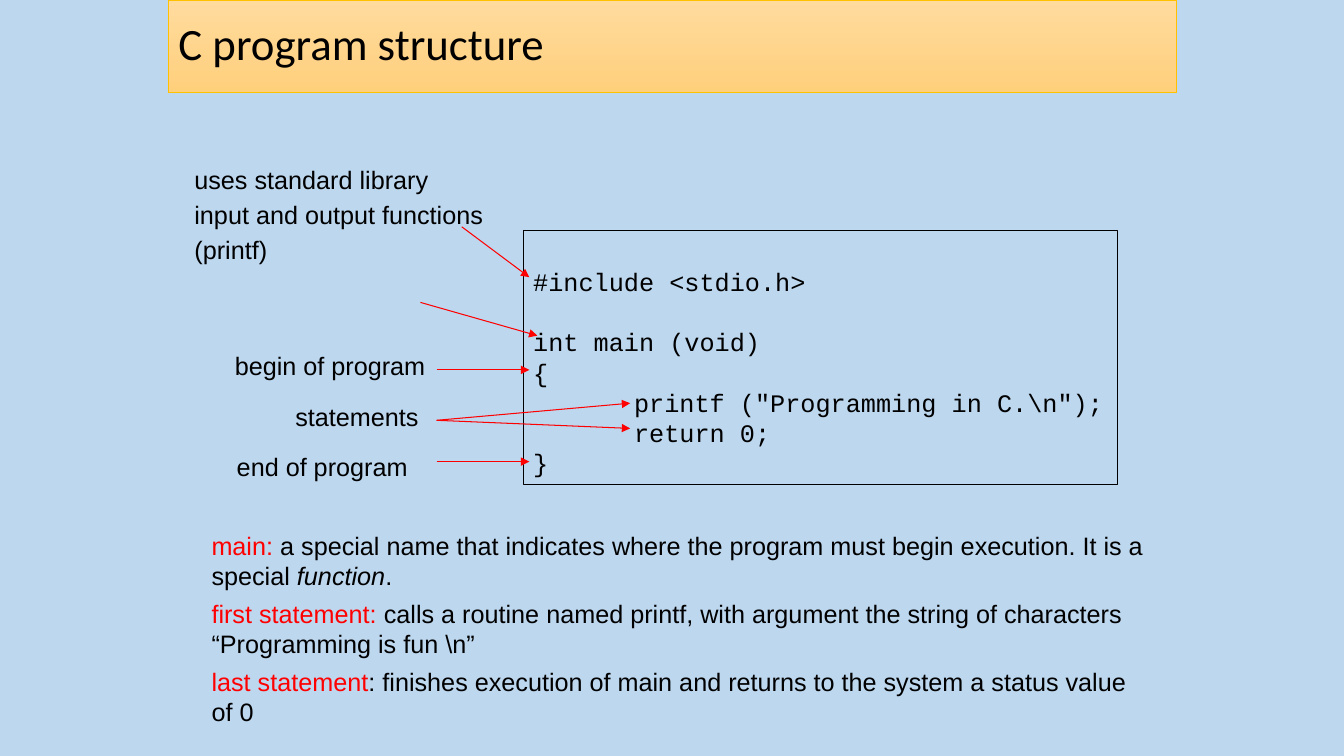
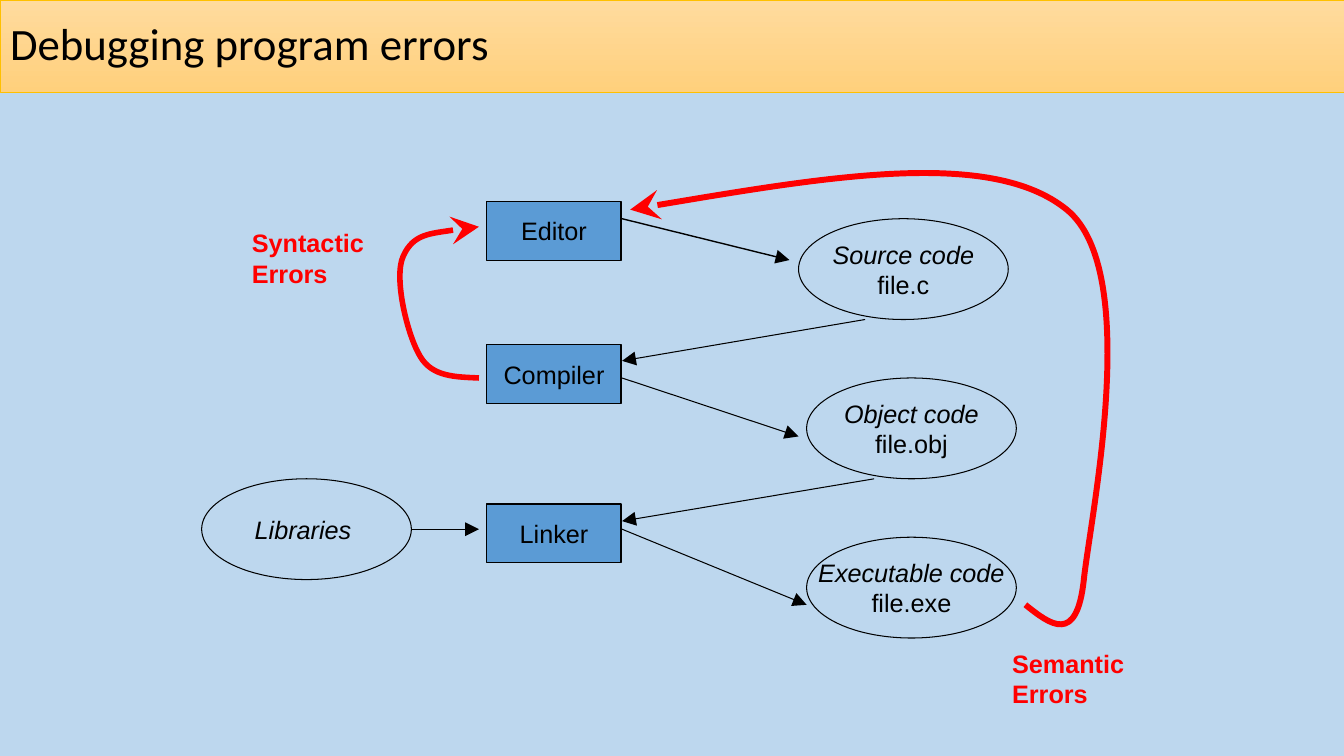
from pptx import Presentation
from pptx.dml.color import RGBColor
from pptx.enum.shapes import MSO_CONNECTOR, MSO_SHAPE
from pptx.enum.text import MSO_ANCHOR, MSO_AUTO_SIZE, PP_ALIGN
from pptx.oxml.ns import qn
from pptx.oxml.xmlchemy import OxmlElement
from pptx.util import Inches, Pt

RECT, OVAL = MSO_SHAPE.RECTANGLE, MSO_SHAPE.OVAL
STRAIGHT = MSO_CONNECTOR.STRAIGHT
TOP, MIDDLE = MSO_ANCHOR.TOP, MSO_ANCHOR.MIDDLE
LEFT, CENTER = PP_ALIGN.LEFT, PP_ALIGN.CENTER
GROW = MSO_AUTO_SIZE.SHAPE_TO_FIT_TEXT

SKY, BLUE, GOLD = "BDD7EE", "5B9BD5", "FFC000"
BAND = ("FFDB9E", "FFD07C")
BLACK, RED = "000000", "FF0000"
BODY, HEAD, CODE = "Arial", "Calibri", "Courier New"


def rgb(color):
    return RGBColor.from_string(color)


def paint(fill, color):
    if color is None:
        fill.background()
    else:
        fill.solid()
        fill.fore_color.rgb = rgb(color)


def stroke(shape, color, width):
    shape.line.color.rgb = rgb(color)
    shape.line.width = Pt(width)


def add_run(para, text, color=BLACK, style="", face=BODY, size=18):
    """Add one run; style may hold "b" for bold and "i" for italic."""
    run = para.add_run()
    run.text = text
    font = run.font
    font.name, font.size, font.color.rgb = face, Pt(size), rgb(color)
    font.bold, font.italic = "b" in style, "i" in style


def write(frame, lines, align=LEFT, face=BODY, before=0, after=0):
    """Fill a frame; each line is a list of (text, color, style) runs."""
    for i, line in enumerate(lines):
        para = frame.paragraphs[0] if i == 0 else frame.add_paragraph()
        para.alignment = align
        if i and before:
            para.space_before = Pt(before)
        if after:
            para.space_after = Pt(after)
        for run in line:
            add_run(para, *run, face=face)


def add_slide(prs, title, left, width):
    """Add a slide whose title sits in the gold band."""
    slide = prs.slides.add_slide(prs.slide_layouts[5])
    band = slide.shapes.title
    band.left, band.top = Inches(left), Inches(0)
    band.width, band.height = Inches(width), Inches(0.92)
    band.fill.gradient()
    band.fill.gradient_angle = 270
    for stop, color in zip(band.fill.gradient_stops, BAND):
        stop.color.rgb = rgb(color)
    stroke(band, GOLD, 0.5)
    band.text_frame.vertical_anchor = MIDDLE
    para = band.text_frame.paragraphs[0]
    para.alignment, para.line_spacing = LEFT, 0.9
    add_run(para, title, face=HEAD, size=32)
    return slide


def add_label(slide, box, lines, wrap=False, **spacing):
    label = slide.shapes.add_textbox(*map(Inches, box))
    label.text_frame.word_wrap = wrap
    label.text_frame.auto_size = GROW
    write(label.text_frame, lines, **spacing)


def add_node(slide, kind, box, fill=None):
    """Add an outlined shape and return its text frame."""
    node = slide.shapes.add_shape(kind, *map(Inches, box))
    node.shadow.inherit = False
    paint(node.fill, fill)
    stroke(node, BLACK, 0.75)
    node.text_frame.word_wrap = False
    node.text_frame.vertical_anchor = MIDDLE
    return node.text_frame


def add_tip(shape, kind, size):
    tip = OxmlElement("a:tailEnd")
    tip.set("type", kind)
    tip.set("w", size)
    tip.set("len", size)
    shape._element.spPr.get_or_add_ln().append(tip)


def add_arrow(slide, start, end, color=BLACK, width=0.75, size="lg"):
    arrow = slide.shapes.add_connector(STRAIGHT, *map(Inches, start + end))
    stroke(arrow, color, width)
    add_tip(arrow, "triangle", size)
    arrow._element.spPr.append(OxmlElement("a:effectLst"))


def add_curve(slide, start, points, width):
    """Draw a red curve; every three points make one Bezier segment."""
    pen = slide.shapes.build_freeform(*map(Inches, start))
    pen.add_line_segments([(Inches(x), Inches(y)) for x, y in points], close=False)
    curve = pen.convert_to_shape()
    curve.shadow.inherit = False
    paint(curve.fill, None)
    stroke(curve, RED, width)
    add_tip(curve, "stealth", "lg")
    route = curve._element.xpath(".//a:path")[0]
    legs = route.findall(qn("a:lnTo"))
    for i in range(0, len(legs), 3):
        bend = OxmlElement("a:cubicBezTo")
        legs[i].addprevious(bend)
        for leg in legs[i:i + 3]:
            bend.append(leg[0])
            route.remove(leg)


def add_tab(para, pos):
    """Set a left tab stop, in inches from the text edge."""
    stops, tab = OxmlElement("a:tabLst"), OxmlElement("a:tab")
    tab.set("pos", str(Inches(pos)))
    tab.set("algn", "l")
    stops.append(tab)
    para._p.get_or_add_pPr().append(stops)


def add_code(slide):
    frame = add_node(slide, RECT, (5.19, 2.29, 5.89, 2.52))
    frame.vertical_anchor = TOP
    frame.margin_top = Inches(0.35)
    lines = [
        "#include <stdio.h>",
        "int main (void)",
        "{",
        '\tprintf ("Programming in C.\\n");',
        "\treturn 0;",
        "}",
    ]
    write(frame, [[(line,)] for line in lines], face=CODE)
    frame.paragraphs[1].space_before = Pt(21.6)
    for para in frame.paragraphs:
        add_tab(para, 1)


def build_structure(prs):
    slide = add_slide(prs, "C program structure", 1.67, 10)
    add_code(slide)
    add_label(slide, (1.83, 1.58, 3.13, 1.42), [
        [("uses standard library",)],
        [("input and output functions",)],
        [("(printf)",)],
    ], before=3.6)
    for left, top, width, text in [
        (2.23, 3.43, 2.09, "begin of program"),
        (2.83, 3.93, 1.42, "statements"),
        (2.25, 4.43, 1.9, "end of program"),
    ]:
        add_label(slide, (left, top, width, 0.4), [[(text,)]])
    for start, end in [
        ((4.58, 2.25), (5.25, 2.75)),
        ((4.17, 3), (5.33, 3.33)),
        ((4.33, 3.67), (5.25, 3.67)),
        ((4.33, 4.17), (6.25, 4)),
        ((4.33, 4.17), (6.25, 4.25)),
        ((4.33, 4.58), (5.25, 4.58)),
    ]:
        add_arrow(slide, start, end, RED, size="med")
    add_label(slide, (2, 5.21, 9.5, 2.08), [
        [("main: ", RED),
         ("a special name that indicates where the program must begin "
          "execution. It is a special ",),
         ("function", BLACK, "i"), (".",)],
        [("first statement: ", RED),
         ("calls a routine named printf, with argument the string of "
          "characters “Programming is fun \\n”",)],
        [("last statement", RED),
         (": finishes execution of main and returns to the system a "
          "status value of 0",)],
    ], wrap=True, after=5.5)


def build_errors(prs):
    slide = add_slide(prs, "Debugging program errors", 0, 13.33)
    for top, tool in [(2, "Editor"), (3.42, "Compiler"), (5, "Linker")]:
        frame = add_node(slide, RECT, (4.83, top, 1.33, 0.58), BLUE)
        write(frame, [[(tool,)]], CENTER)
    for left, top, name, *files in [
        (7.92, 2.17, "Source code", "file.c"),
        (8, 3.75, "Object code", "file.obj"),
        (8, 5.33, "Executable code", "file.exe"),
        (2, 4.75, "Libraries "),
    ]:
        frame = add_node(slide, OVAL, (left, top, 2.08, 1))
        lines = [[(name, BLACK, "i")]] + [[(file,)] for file in files]
        write(frame, lines, CENTER)
    for start, end, width in [
        ((6.17, 2.17), (7.83, 2.58), 1),
        ((6.17, 3.75), (7.92, 4.33), 0.75),
        ((6.17, 5.25), (8, 6), 0.75),
        ((8.58, 3.17), (6.17, 3.58), 0.75),
        ((8.67, 4.75), (6.17, 5.17), 0.75),
        ((4.08, 5.25), (4.75, 5.25), 1),
    ]:
        add_arrow(slide, start, end, width=width)
    add_curve(slide, (4.75, 3.75), [
        (4.52, 3.74), (4.29, 3.74), (4.17, 3.54),
        (4.04, 3.33), (3.9, 2.75), (4, 2.54),
        (4.1, 2.32), (4.42, 2.29), (4.75, 2.25),
    ], 4)
    add_curve(slide, (10.17, 6), [
        (10.42, 6.2), (10.68, 6.4), (10.75, 5.75),
        (10.82, 5.1), (11.33, 2.69), (10.58, 2.08),
        (9.83, 1.47), (8.04, 1.78), (6.25, 2.08),
    ], 4.25)
    for left, top, kind in [(2.4, 2.21, "Syntactic"), (9.94, 6.38, "Semantic")]:
        add_label(slide, (left, top, 1.31, 0.7),
                  [[(word, RED, "b")] for word in (kind, "Errors")])


def main():
    prs = Presentation()
    prs.slide_width, prs.slide_height = Inches(13.33), Inches(7.5)
    paint(prs.slide_master.background.fill, SKY)
    build_structure(prs)
    build_errors(prs)
    prs.save("out.pptx")


if __name__ == "__main__":
    main()
